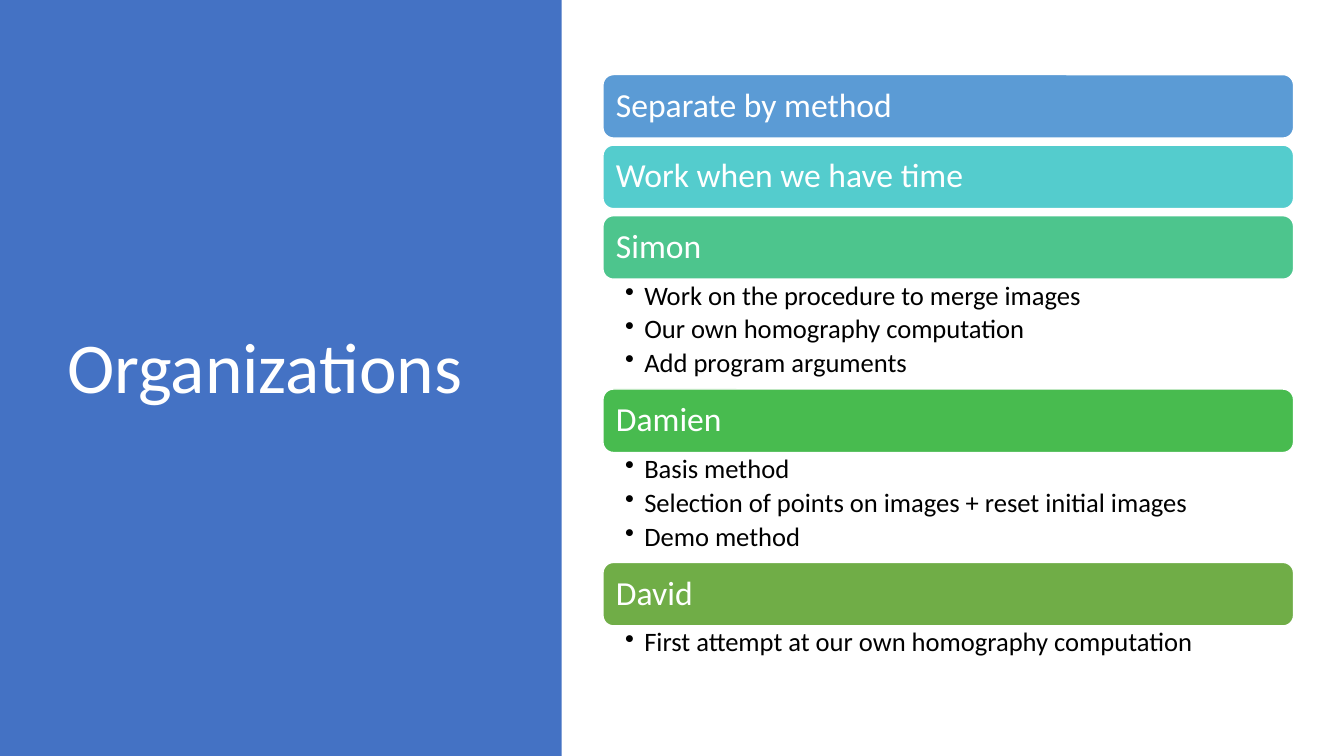
import pptx
import pptx.dml.color
import pptx.enum.shapes
import pptx.enum.text
import pptx.oxml.ns
import pptx.util
from lxml import etree

FONT = "Calibri"
WHITE, BLACK, BLUE = "FFFFFF", "000000", "4472C4"
BAR_HEIGHT, BAR_GAP = 0.63, 0.07
LIST_PADDING, LIST_LINE = 0.1, 0.33
BULLET_INDENT = 0.19

TOPICS = [
    ("Separate by method", "5B9BD5", []),
    ("Work when we have time", "54CCCD", []),
    ("Simon", "4DC58D", [
        "Work on the procedure to merge images",
        "Our own homography computation",
        "Add program arguments",
    ]),
    ("Damien", "48BB4F", [
        "Basis method",
        "Selection of points on images + reset initial images",
        "Demo method",
    ]),
    ("David", "70AD47", ["First attempt at our own homography computation"]),
]


def rgb(value):
    return pptx.dml.color.RGBColor.from_string(value)


def inches(*lengths):
    return [pptx.util.Inches(length) for length in lengths]


def add_block(slide, kind, box, fill):
    block = slide.shapes.add_shape(kind, *inches(*box))
    block.shadow.inherit = False
    block.fill.solid()
    block.fill.fore_color.rgb = rgb(fill)
    block.line.fill.background()
    return block


def set_frame(frame, insets, anchor):
    frame.word_wrap = True
    frame.vertical_anchor = anchor
    (frame.margin_left, frame.margin_top,
     frame.margin_right, frame.margin_bottom) = inches(*insets)


def write(paragraph, words, size, color):
    paragraph.alignment = pptx.enum.text.PP_ALIGN.LEFT
    paragraph.line_spacing = 0.9
    run = paragraph.add_run()
    run.text = words
    run.font.name = FONT
    run.font.size = pptx.util.Pt(size)
    run.font.color.rgb = rgb(color)


def add_bullet(paragraph):
    properties = paragraph._p.get_or_add_pPr()
    indent = pptx.util.Inches(BULLET_INDENT)
    properties.set("marL", str(indent))
    properties.set("indent", str(-indent))
    bullet = etree.SubElement(properties, pptx.oxml.ns.qn("a:buChar"))
    bullet.set("char", "•")


def add_title_panel(slide, box, title):
    left, top, width, height = box
    add_block(slide, pptx.enum.shapes.MSO_SHAPE.RECTANGLE, box, BLUE)
    heading = slide.shapes.add_textbox(*inches(
        left + 0.57, top + 0.09 * height, 0.75 * width, 0.8 * height))
    set_frame(heading.text_frame, (0.1, 0.05, 0.1, 0.05),
              pptx.enum.text.MSO_ANCHOR.MIDDLE)
    write(heading.text_frame.paragraphs[0], title, 51, WHITE)


def add_bar(slide, box, topic, fill):
    bar = add_block(slide, pptx.enum.shapes.MSO_SHAPE.ROUNDED_RECTANGLE, box, fill)
    bar.line.color.rgb = rgb(WHITE)
    bar.line.width = pptx.util.Pt(1)
    set_frame(bar.text_frame, (0.1, 0.1, 0.1, 0.1),
              pptx.enum.text.MSO_ANCHOR.MIDDLE)
    write(bar.text_frame.paragraphs[0], topic, 24, WHITE)


def add_tasks(slide, box, tasks):
    frame = slide.shapes.add_textbox(*inches(*box)).text_frame
    set_frame(frame, (0.22, 0.03, 0.19, 0.03), pptx.enum.text.MSO_ANCHOR.TOP)
    for index, task in enumerate(tasks):
        paragraph = frame.add_paragraph() if index else frame.paragraphs[0]
        write(paragraph, task, 19, BLACK)
        paragraph.space_after = pptx.util.Pt(3.6)
        add_bullet(paragraph)


def add_topic_list(slide, left, top, width):
    """Stack the topic bars, each followed by its tasks or by a plain gap."""
    for topic, fill, tasks in TOPICS:
        add_bar(slide, (left, top, width, BAR_HEIGHT), topic, fill)
        top += BAR_HEIGHT
        if tasks:
            height = LIST_PADDING + LIST_LINE * len(tasks)
            add_tasks(slide, (left, top, width, height), tasks)
            top += height
        else:
            top += BAR_GAP


def main():
    deck = pptx.Presentation()
    deck.slide_width, deck.slide_height = inches(13.33, 7.5)
    slide = deck.slides.add_slide(deck.slide_layouts[6])
    add_title_panel(slide, (0, 0, 5.57, 7.5), "Organizations")
    add_topic_list(slide, 5.98, 0.74, 6.85)
    deck.save("out.pptx")


if __name__ == "__main__":
    main()
